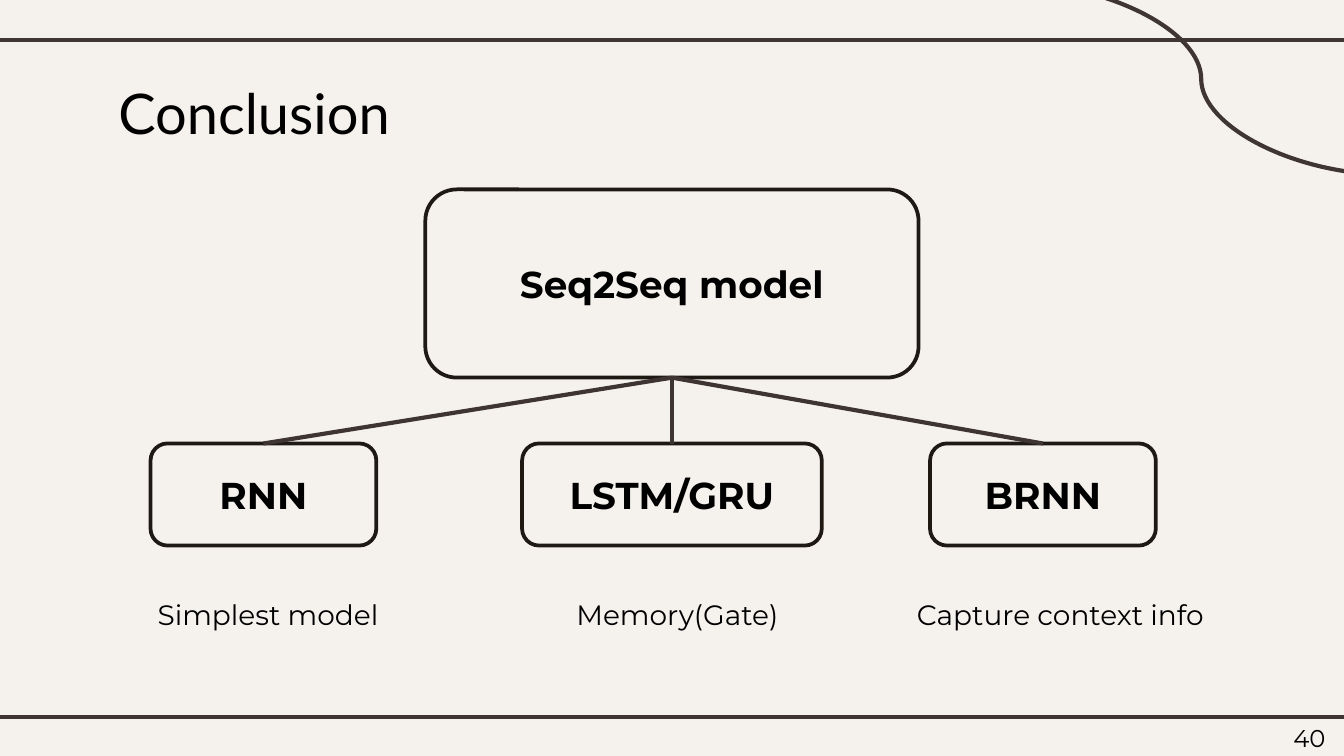
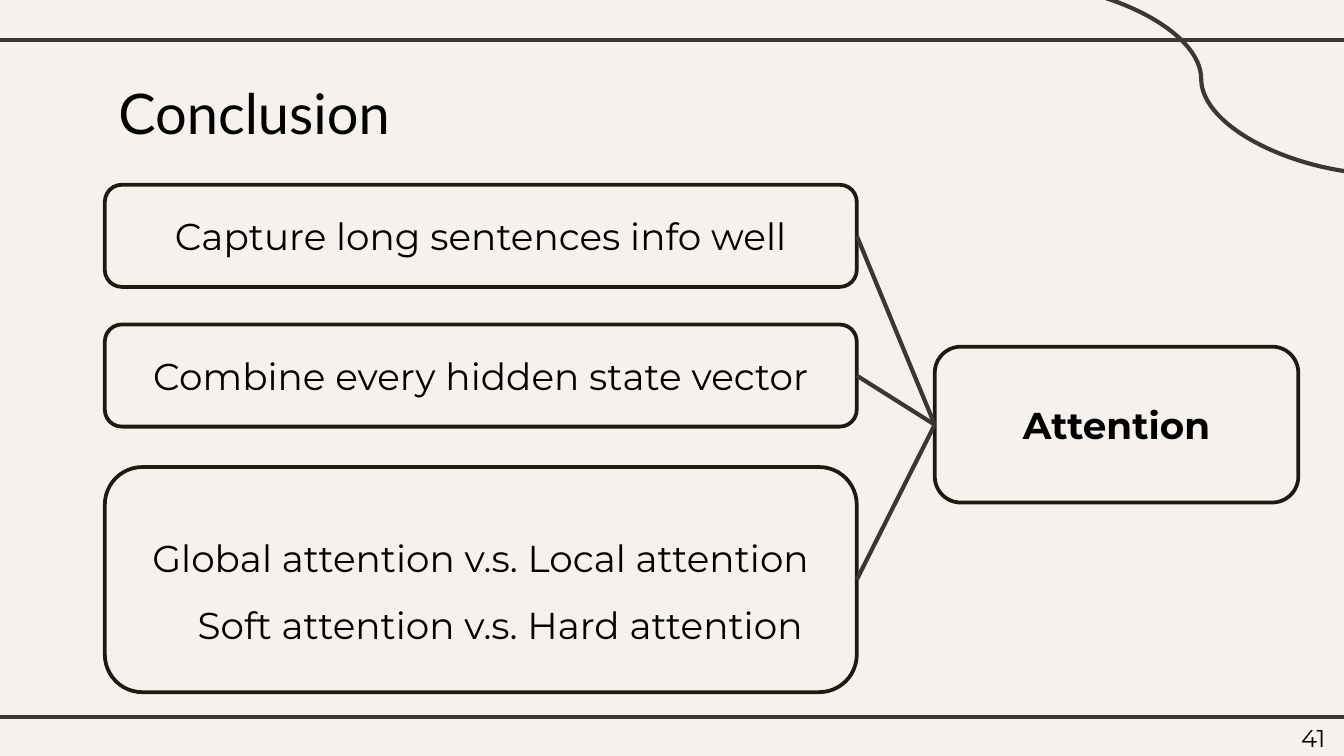
from pptx import Presentation
from pptx.dml.color import RGBColor
from pptx.enum.shapes import MSO_CONNECTOR, MSO_SHAPE
from pptx.enum.text import MSO_ANCHOR, MSO_AUTO_SIZE, PP_ALIGN
from pptx.oxml.ns import qn
from pptx.util import Emu, Pt
from lxml import etree

STRAIGHT, CURVE = MSO_CONNECTOR.STRAIGHT, MSO_CONNECTOR.CURVE
ROUNDED = MSO_SHAPE.ROUNDED_RECTANGLE
TOP, MIDDLE = MSO_ANCHOR.TOP, MSO_ANCHOR.MIDDLE
NO_FIT, GROW = MSO_AUTO_SIZE.NONE, MSO_AUTO_SIZE.SHAPE_TO_FIT_TEXT
LEFT, CENTER, RIGHT = PP_ALIGN.LEFT, PP_ALIGN.CENTER, PP_ALIGN.RIGHT
TOP_SIDE, LEFT_SIDE, BOTTOM_SIDE, RIGHT_SIDE = range(4)

EMU_PER_PX = 4572
WIDTH, HEIGHT = 2000, 1125
TITLE_ONLY = 5
COLORS = {
    "paper": "F5F2EE",
    "band": "3F3533",
    "link": "3E3432",
    "outline": "1E1912",
    "text": "000000",
}


def px(n):
    return Emu(n * EMU_PER_PX)


def rgb(name):
    return RGBColor.from_string(COLORS[name])


def write(tf, text, size=20, font="Montserrat", bold=False, align=CENTER,
          spacing=None, indents=(0,), anchor=MIDDLE, inset=None, fit=NO_FIT):
    tf.word_wrap = True
    tf.auto_size = fit
    tf.vertical_anchor = anchor
    if inset is not None:
        tf.margin_left = tf.margin_right = px(inset)
        tf.margin_top = tf.margin_bottom = px(inset)
    for i, (line, indent) in enumerate(zip(text.split("\n"), indents)):
        p = tf.paragraphs[0] if i == 0 else tf.add_paragraph()
        p.alignment = align
        p.line_spacing = spacing
        if indent:
            pPr = p._p.get_or_add_pPr()
            pPr.set("marL", str(px(indent)))
            pPr.set("indent", "0")
        r = p.add_run()
        r.text = line
        r.font.name = font
        r.font.size = Pt(size)
        r.font.bold = bold
        r.font.color.rgb = rgb("text")


class Deck:
    def __init__(self):
        self.prs = Presentation()
        self.prs.slide_width, self.prs.slide_height = px(WIDTH), px(HEIGHT)
        fill = self.prs.slide_master.background.fill
        fill.solid()
        fill.fore_color.rgb = rgb("paper")
        self.s = None

    def slide(self, title, number):
        self.s = self.prs.slides.add_slide(self.prs.slide_layouts[TITLE_ONLY])
        for y in (60, 1067):
            self.line(-16, y, WIDTH + 16, y)
        self.line(1507, -25, 2068, 260, kind=CURVE)
        sp = self.s.shapes.title
        sp.left, sp.top, sp.width, sp.height = map(px, (156, 97, 1030, 126))
        write(sp.text_frame, title, size=30, font="Lato", align=LEFT,
              anchor=TOP, inset=20)
        self.label(1872, 1056, 120, 86, str(number), size=13, align=RIGHT,
                   inset=20)

    def line(self, x1, y1, x2, y2, kind=STRAIGHT, color="band"):
        cx = self.s.shapes.add_connector(kind, px(x1), px(y1), px(x2), px(y2))
        cx.line.color.rgb = rgb(color)
        cx.line.width = Pt(2.25)
        etree.SubElement(cx._element.spPr, qn("a:effectLst"))
        return cx

    def link(self, start, start_side, end, end_side):
        cx = self.line(0, 0, 0, 0, color="link")
        cx.begin_connect(start, start_side)
        cx.end_connect(end, end_side)

    def box(self, x, y, w, h, text, **fmt):
        sp = self.s.shapes.add_shape(ROUNDED, px(x), px(y), px(w), px(h))
        sp.shadow.inherit = False
        sp.fill.background()
        sp.line.color.rgb = rgb("outline")
        sp.line.width = Pt(2)
        write(sp.text_frame, text, **fmt)
        return sp

    def label(self, x, y, w, h, text, **fmt):
        sp = self.s.shapes.add_textbox(px(x), px(y), px(w), px(h))
        write(sp.text_frame, text, anchor=TOP, **fmt)


def models_slide(deck):
    deck.slide("Conclusion", 40)
    root = deck.box(633, 282, 734, 280, "Seq2Seq model", bold=True)
    models = [
        (224, 336, "RNN", 156, 466, "Simplest model"),
        (777, 446, "LSTM/GRU", 765, 466, "Memory(Gate)"),
        (1384, 336, "BRNN", 1292, 552, "Capture context info"),
    ]
    for x, w, name, note_x, note_w, note in models:
        model = deck.box(x, 660, w, 152, name, bold=True)
        deck.link(root, BOTTOM_SIDE, model, TOP_SIDE)
        deck.label(note_x, 854, note_w, 88, note, size=15, spacing=1.5,
                   indents=(20,), fit=GROW)


def attention_slide(deck):
    deck.slide("Conclusion", 41)
    attention = deck.box(1391, 516, 541, 232, "Attention", bold=True)
    points = [
        (275, 152, "Capture long sentences info well", {}),
        (483, 152, "Combine every hidden state vector", {}),
        (695, 335, "Global attention v.s. Local attention\n"
                   "Soft attention v.s. Hard attention",
         {"spacing": 1.5, "indents": (0, 58)}),
    ]
    for y, h, text, fmt in points:
        point = deck.box(156, y, 1119, h, text, **fmt)
        deck.link(point, RIGHT_SIDE, attention, LEFT_SIDE)


def main():
    deck = Deck()
    models_slide(deck)
    attention_slide(deck)
    deck.prs.save("out.pptx")


if __name__ == "__main__":
    main()
